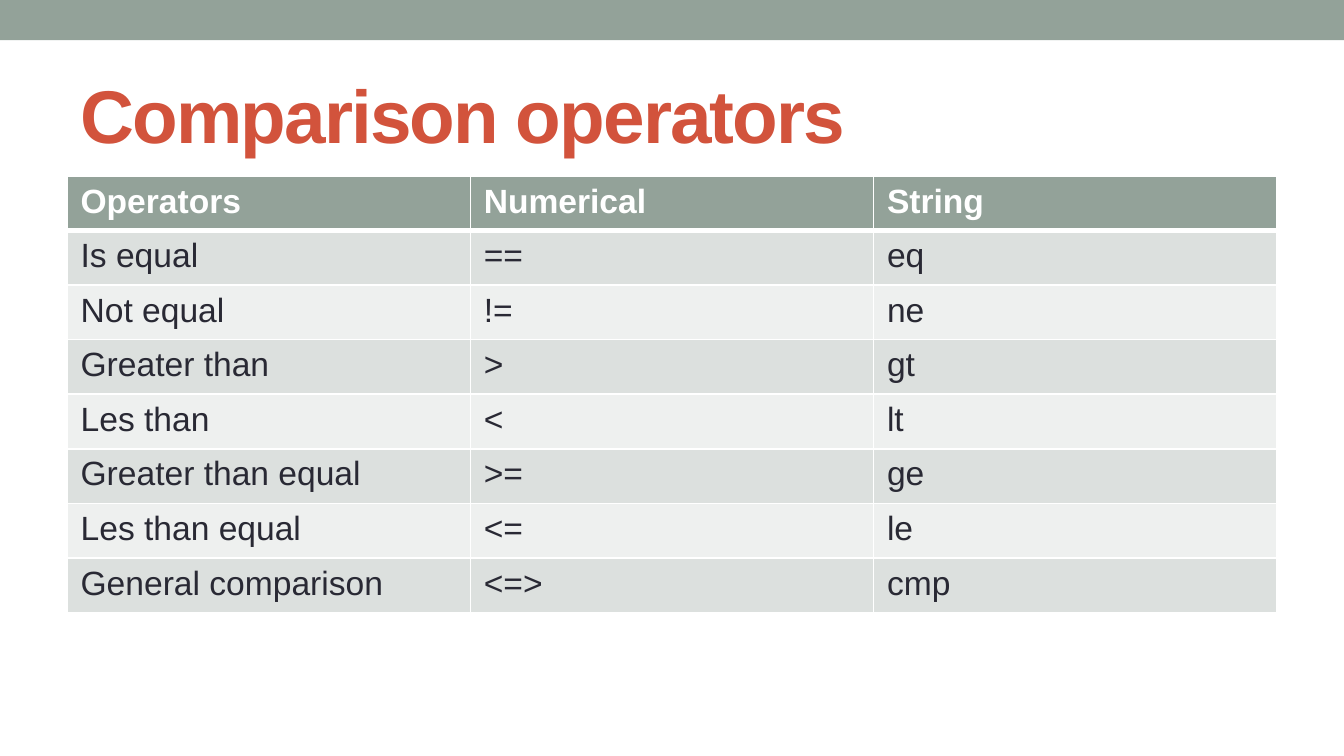
from lxml.etree import SubElement
from pptx import Presentation
from pptx.dml.color import RGBColor
from pptx.enum.shapes import MSO_SHAPE
from pptx.enum.text import MSO_ANCHOR, PP_ALIGN
from pptx.oxml.ns import qn
from pptx.util import Inches, Pt

SAGE = RGBColor(0x93, 0xA2, 0x99)
RUST = RGBColor(0xD2, 0x53, 0x3C)
INK = RGBColor(0x29, 0x29, 0x34)
WHITE = RGBColor(0xFF, 0xFF, 0xFF)
BANDS = [RGBColor(0xEE, 0xF0, 0xEF), RGBColor(0xDC, 0xE0, 0xDE)]


def write(frame, text, size=18, color=INK, bold=False, track=0):
    para = frame.paragraphs[0]
    para.alignment = PP_ALIGN.LEFT
    run = para.add_run()
    run.text = text
    run.font.name = "Arial"
    run.font.size = Pt(size)
    run.font.bold = bold
    run.font.color.rgb = color
    if track:
        run.font._element.set("spc", str(track))


def border(cell, side, width):
    line = SubElement(cell._tc.get_or_add_tcPr(), qn("a:" + side), w=str(Pt(width)))
    fill = SubElement(line, qn("a:solidFill"))
    SubElement(fill, qn("a:srgbClr"), val=str(WHITE))


deck = Presentation()
deck.slide_width = Inches(10)
deck.slide_height = Inches(10) * 9 // 16
slide = deck.slides.add_slide(deck.slide_layouts[5])

band = slide.shapes.add_shape(MSO_SHAPE.RECTANGLE, 0, 0, Inches(10), Inches(0.3))
band.shadow.inherit = False
band.fill.solid()
band.fill.fore_color.rgb = SAGE
band.line.fill.background()

title = slide.shapes.title
title.left, title.top = Inches(0.5), Inches(0.44)
title.width, title.height = Inches(9), Inches(0.81)
title.text_frame.vertical_anchor = MSO_ANCHOR.MIDDLE
write(title.text_frame, "Comparison operators", size=40, color=RUST, bold=True, track=-100)

rows = [
    ("Operators", "Numerical ", "String"),
    ("Is equal", "==", "eq"),
    ("Not equal", "!= ", "ne"),
    ("Greater than ", ">", "gt"),
    ("Les than ", "<", "lt"),
    ("Greater than equal", ">=", "ge"),
    ("Les than equal", "<=", "le"),
    ("General comparison", "<=>", "cmp"),
]
table = slide.shapes.add_table(
    len(rows), 3, Inches(0.5), Inches(1.31), Inches(9), Inches(3.25)
).table
for r, row in enumerate(rows):
    head = r == 0
    for c, text in enumerate(row):
        cell = table.cell(r, c)
        for side in ("lnL", "lnR", "lnT", "lnB"):
            thick = (head and side == "lnB") or (r == 1 and side == "lnT")
            border(cell, side, 3 if thick else 1)
        cell.fill.solid()
        cell.fill.fore_color.rgb = SAGE if head else BANDS[r % 2]
        write(cell.text_frame, text, color=WHITE if head else INK, bold=head)

deck.save("out.pptx")
